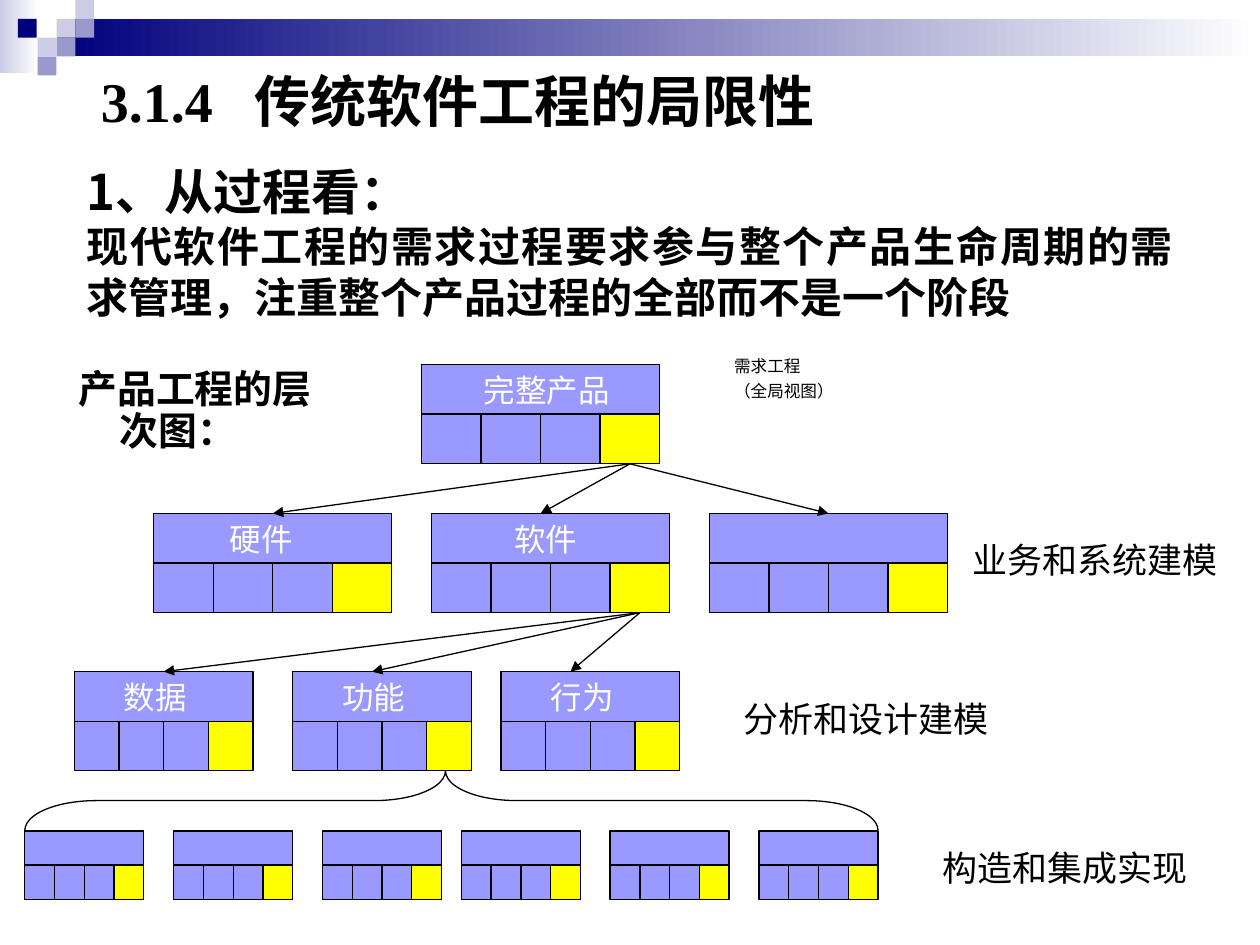
from lxml.etree import SubElement
from pptx import Presentation
from pptx.dml.color import RGBColor
from pptx.enum.shapes import MSO_CONNECTOR, MSO_SHAPE
from pptx.enum.text import MSO_ANCHOR, MSO_AUTO_SIZE, PP_ALIGN
from pptx.oxml.ns import qn
from pptx.util import Cm, Pt

CJK = "Noto Sans CJK SC"
LILAC, YELLOW, BLACK, WHITE = "9999FF", "FFFF00", "000000", "FFFFFF"


def color(hex_code):
    return RGBColor.from_string(hex_code)


def add_run(paragraph, text, size, font=CJK, bold=False, ink=BLACK):
    run = paragraph.add_run()
    run.text = text
    run.font.size = Pt(size)
    run.font.bold = bold
    run.font.color.rgb = color(ink)
    run.font.name = font
    SubElement(run.font._element, qn("a:ea")).set("typeface", CJK)


def add_text(slide, left, top, width, height):
    frame = slide.shapes.add_textbox(Cm(left), Cm(top), Cm(width), Cm(height)).text_frame
    frame.word_wrap = True
    return frame


def add_rect(slide, left, top, width, height, fill, outline=None):
    rect = slide.shapes.add_shape(
        MSO_SHAPE.RECTANGLE, Cm(left), Cm(top), Cm(width), Cm(height))
    rect.shadow.inherit = False
    rect.fill.solid()
    rect.fill.fore_color.rgb = color(fill)
    if outline:
        rect.line.color.rgb = color(outline)
        rect.line.width = Pt(0.75)
    else:
        rect.line.fill.background()
    return rect


def add_line(slide, x1, y1, x2, y2):
    line = slide.shapes.add_connector(MSO_CONNECTOR.STRAIGHT, x1, y1, x2, y2)
    line.line.color.rgb = color(BLACK)
    line.line.width = Pt(0.75)
    SubElement(line._element.spPr, qn("a:effectLst"))
    return line


def draw_banner(slide, left, top, unit=0.38):
    fades = [(0, 0, 0.79, 1.47, "CCCCE6"), (1.14, unit, 24.26, 0.76, "00007D")]
    for x, y, width, height, start in fades:
        band = add_rect(slide, left + x, top + y, width, height, start)
        band.fill.gradient()
        band.fill.gradient_angle = 0
        for stop, shade in zip(band.fill.gradient_stops, (start, WHITE)):
            stop.color.rgb = color(shade)
    tiles = [(3, 1, "CCCCE6"), (4, 0, "CCCCE6"), (4, 1, "9999CC"), (2, 2, "CCCCE6"),
             (0.95, 1, "00007D"), (3, 2, "9999CC"), (2, 3, "9999CC")]
    for column, row, fill in tiles:
        add_rect(slide, left + column * unit, top + row * unit, unit, unit, fill)


def draw_title(slide, left, top, width, height):
    title = slide.shapes.title
    title.left, title.top, title.width, title.height = map(Cm, (left, top, width, height))
    frame = title.text_frame
    frame.auto_size = MSO_AUTO_SIZE.NONE
    frame.vertical_anchor = MSO_ANCHOR.TOP
    frame.word_wrap = True
    heading = frame.paragraphs[0]
    heading.alignment = PP_ALIGN.LEFT
    tabs = SubElement(heading._p.get_or_add_pPr(), qn("a:tabLst"))
    SubElement(tabs, qn("a:tab"), pos=str(Cm(3.1)), algn="l")
    add_run(heading, "3.1.4\t", 32, "Times New Roman", True)
    add_run(heading, "传统软件工程的局限性", 32, bold=True)


def draw_intro(slide, left, top, width, height):
    frame = add_text(slide, left, top, width, height)
    viewpoint, statement = frame.paragraphs[0], frame.add_paragraph()
    add_run(viewpoint, "1、从过程看：", 28, bold=True)
    add_run(statement, "现代软件工程的需求过程要求参与整个产品生命周期的需求管理，"
            "注重整个产品过程的全部而不是一个阶段", 24, bold=True)
    for paragraph in (viewpoint, statement):
        paragraph.alignment = PP_ALIGN.JUSTIFY


def draw_caption(slide, left, top, width, height):
    caption = add_text(slide, left, top, width, height).paragraphs[0]
    properties = caption._p.get_or_add_pPr()
    properties.set("marL", str(Cm(1.5)))
    properties.set("indent", str(Cm(-0.84)))
    caption.line_spacing = 0.9
    add_run(caption, "产品工程的层次图：", 22.2, bold=True)


def draw_level_note(slide, left, top, width, height, lines, size, spacing=1.0):
    frame = add_text(slide, left, top, width, height)
    for index, text in enumerate(lines):
        paragraph = frame.add_paragraph() if index else frame.paragraphs[0]
        paragraph.line_spacing = spacing
        if index:
            paragraph.space_before = Pt(5)
        add_run(paragraph, text, size)


def draw_node(slide, left, top, width, row, name=None, name_inset=0):
    cell = width / 4
    header = add_rect(slide, left, top, width, row, LILAC, BLACK)
    add_rect(slide, left, top + row, 3 * cell, row, LILAC, BLACK)
    for column in (1, 2):
        x = Cm(left + column * cell)
        add_line(slide, x, Cm(top + row), x, Cm(top + 2 * row))
    expanded = add_rect(slide, left + 3 * cell, top + row, cell, row, YELLOW, BLACK)
    if name:
        label = add_text(slide, left + name_inset, top, width - name_inset, row)
        add_run(label.paragraphs[0], name, 18, "Arial", ink=WHITE)
    return header, expanded


def draw_arrows(slide, parent, children, shifts):
    for child, shift in zip(children, shifts):
        arrow = add_line(slide, 0, 0, child.left + child.width // 2 - Cm(shift), child.top)
        arrow.begin_connect(parent, 2)
        if not shift:
            arrow.end_connect(child, 0)
        SubElement(arrow.line._get_or_add_ln(), qn("a:tailEnd"), type="triangle")


def draw_brace(slide, left, top, width, height):
    brace = slide.shapes.add_shape(
        MSO_SHAPE.LEFT_BRACE, Cm(left + (width - height) / 2),
        Cm(top + (height - width) / 2), Cm(height), Cm(width))
    brace.rotation = 90
    brace.adjustments[0] = 1.2
    brace.adjustments[1] = 0.507
    brace.shadow.inherit = False
    brace.fill.background()
    brace.line.color.rgb = color(BLACK)
    brace.line.width = Pt(0.75)


def draw_hierarchy(slide, left, top):
    def level(y, width, row, nodes):
        return [draw_node(slide, left + x, top + y, width, row, *label)
                for x, *label in nodes]

    [(_, product)] = level(0, 4.8, 1, [(8, "完整产品", 1)])
    systems = level(3, 4.8, 1, [(2.6, "硬件", 1.28), (8.2, "软件", 1.42), (13.8,)])
    models = level(6.19, 3.6, 1, [(1, "数据", 0.75), (5.4, "功能", 0.75), (9.6, "行为", 0.75)])
    level(9.4, 2.4, 0.69, [(x,) for x in (0, 3, 6, 8.8, 11.8, 14.8)])
    draw_arrows(slide, product, [header for header, _ in systems], (0, 0.2, 0))
    draw_arrows(slide, systems[1][1], [header for header, _ in models], (0, 0.2, 0.4))
    draw_brace(slide, left, top + 8.19, 17.2, 1.2)


def main():
    deck = Presentation()
    deck.slide_width, deck.slide_height = Cm(25.4), Cm(19.05)
    slide = deck.slides.add_slide(deck.slide_layouts[5])
    draw_banner(slide, 0, 0)
    draw_title(slide, 1.78, 1.22, 16.5, 1.63)
    draw_intro(slide, 1.5, 3.14, 22.4, 4.5)
    draw_caption(slide, 0.67, 7.34, 6, 2.2)
    draw_hierarchy(slide, 0.5, 7.35)
    draw_level_note(slide, 14.55, 7.13, 5.3, 1.2, ["需求工程", "（全局视图）"], 9.5, 0.8)
    for left, top, stage in ((19.35, 10.74, "业务和系统建模"),
                             (14.73, 13.94, "分析和设计建模"),
                             (18.75, 16.94, "构造和集成实现")):
        draw_level_note(slide, left, top, 6, 1.2, [stage], 20)
    deck.save("out.pptx")


if __name__ == "__main__":
    main()
